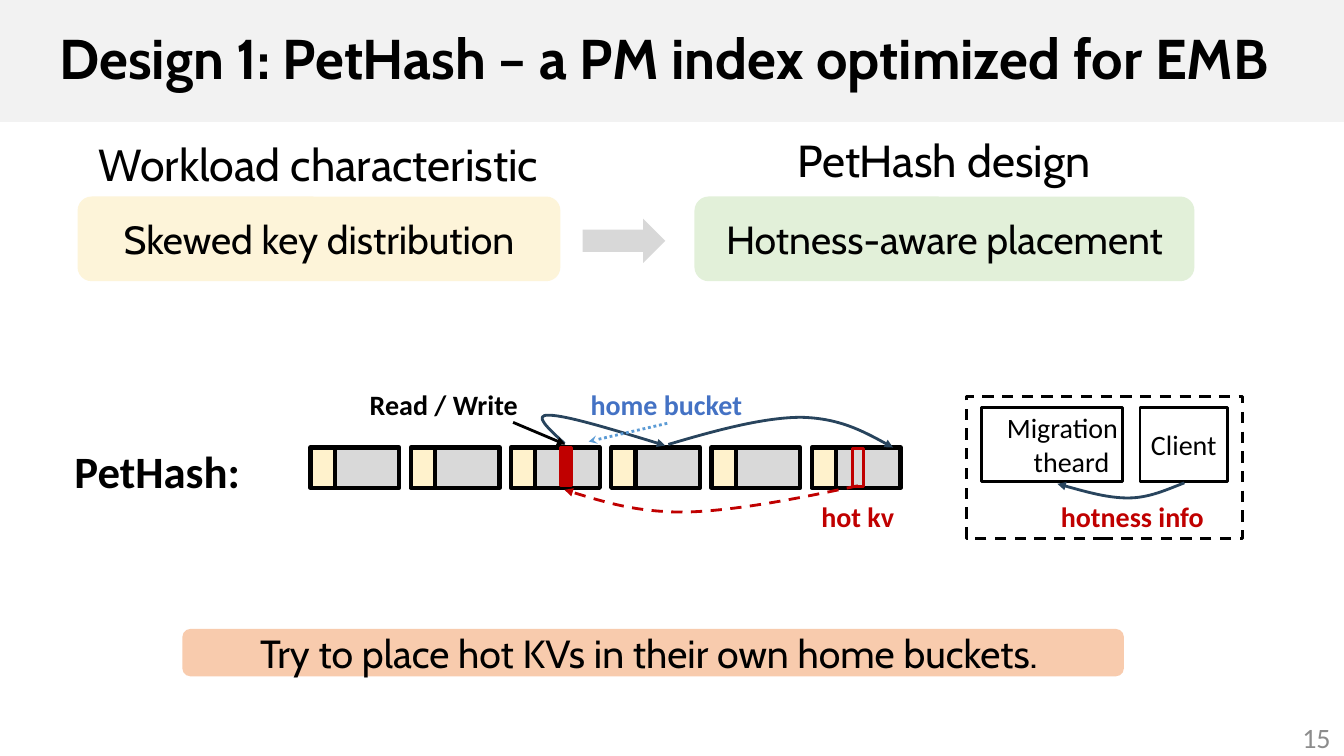
from pptx import Presentation
from pptx.dml.color import RGBColor
from pptx.enum.dml import MSO_LINE_DASH_STYLE as Dash
from pptx.enum.shapes import MSO_CONNECTOR, MSO_SHAPE as Shape
from pptx.enum.text import MSO_ANCHOR as Anchor, PP_ALIGN as Align
from pptx.oxml.ns import qn
from pptx.util import Pt
from lxml.etree import SubElement

BLACK, RED, NAVY = "000000", "C00000", "28445D"
TITLE = "Design 1: PetHash – a PM index optimized for EMB"
HEADINGS = [
    ("Workload characteristic", (53.3, 94.3, 348.5, 46)),
    ("PetHash design", (522.7, 91.4, 303.1, 46)),
]
PANELS = [
    ("Skewed key distribution", "FDF4D9", (55.4, 140.4, 344.9, 60.5)),
    ("Hotness-aware placement", "E2F0D9", (496.1, 140.4, 357.1, 60.5)),
    ("Try to place hot KVs in their own home buckets. ", "F8CBAD", (130.3, 449.3, 672.5, 33.8)),
]
DESIGN_ARROW = (416.2, 156.2, 59, 31.7)
LABELS = [
    ("PetHash:", 32, BLACK, True, Align.LEFT, (46.1, 313.2, 133.9, 46)),
    ("hotness info", 20, RED, True, Align.CENTER, (750.2, 352.8, 117.4, 31.7)),
    ("hot kv", 20, RED, True, Align.LEFT, (579.6, 352.8, 67, 31.7)),
    ("Read / Write", 20, BLACK, True, Align.LEFT, (257, 272.9, 121, 31.7)),
    ("home bucket", 20, "4472C4", True, Align.LEFT, (414.7, 272.9, 123.8, 31.7)),
    ("15", 20, "8C8C8C", False, Align.RIGHT, (741.6, 512.6, 216, 28.8)),
]
BUCKET_COUNT, BUCKET_LEFT, BUCKET_PITCH = 6, 221.8, 71.6
BUCKET_TOP, BUCKET_HEIGHT = 319.7, 28.8
BUCKET_PARTS = [(0, 17.4, "FFF2CC"), (17.4, 46.1, "D9D9D9")]
HOT_SLOTS = [(609.1, 320.4, None), (400.3, 319.7, RED)]
THREAD_FRAME = (690.5, 283, 197.3, 101.5)
THREADS = [
    ("Migration\ntheard", (701.3, 290.9, 100.8, 53.3), (14.4, 0)),
    ("Client", (814.3, 290.9, 62.6, 53.3), (7.2, 7.2)),
]
SECOND_LINE_INDENT = 13
CURVES = [
    (NAVY, None, [(846, 344.9), (833, 349.9), (820.8, 355.7), (805.7, 355.7),
                  (791.3, 355.7), (773.3, 350.6), (755.3, 345.6)]),
    (RED, Dash.DASH, [(612.7, 347), (568.8, 356.4), (524.2, 365), (488.9, 365.8),
                      (454.3, 365.8), (429.1, 357.8), (403.2, 349.9)]),
    (NAVY, None, [(403.2, 316.8), (391.7, 306), (380.2, 295.9), (392.4, 296.6),
                  (403.9, 296.6), (439.9, 307.4), (475.2, 318.2)]),
    (NAVY, None, [(477.4, 317.5), (511.2, 307.4), (545.8, 298.1), (572.4, 298.1),
                  (599, 298.8), (618.5, 308.9), (637.9, 319.7)]),
]
POINTERS = [
    (BLACK, None, "triangle", (366.5, 301.7, 403.9, 317.5)),
    ("5B9BD5", Dash.ROUND_DOT, "stealth", (476.6, 302.4, 420.5, 315.4)),
]


def paint(color_format, color):
    color_format.rgb = RGBColor.from_string(color)


def pts(values):
    return [Pt(value) for value in values]


def fill_with(shape, color):
    if color:
        shape.fill.solid()
        paint(shape.fill.fore_color, color)
    else:
        shape.fill.background()


def stroke(shape, color, width=2, dash=None, head=None):
    paint(shape.line.color, color)
    shape.line.width = Pt(width)
    if dash:
        shape.line.dash_style = dash
    if head:
        SubElement(shape.line._get_or_add_ln(), qn("a:tailEnd"), type=head)


def write(shape, text, size, font, color=BLACK, bold=False, align=Align.CENTER,
          anchor=Anchor.MIDDLE, wrap=True, sides=(7.2, 7.2), ends=3.6):
    frame = shape.text_frame
    frame.text = text
    frame.word_wrap = wrap
    frame.vertical_anchor = anchor
    frame.margin_left, frame.margin_right = pts(sides)
    frame.margin_top = frame.margin_bottom = Pt(ends)
    for paragraph in frame.paragraphs:
        paragraph.alignment = align
        paragraph.font.size = Pt(size)
        paragraph.font.name = font
        paragraph.font.bold = bold
        paint(paragraph.font.color, color)
    return frame


def add_block(shapes, kind, box, fill=None, line=None, width=2, dash=None):
    block = shapes.add_shape(kind, *pts(box))
    block.shadow.inherit = False
    fill_with(block, fill)
    if line:
        stroke(block, line, width, dash)
    else:
        block.line.fill.background()
    return block


def add_curve(shapes, color, dash, points):
    start, *rest = [tuple(pts(point)) for point in points]
    builder = shapes.build_freeform(*start)
    builder.add_line_segments(rest, close=False)
    curve = builder.convert_to_shape()
    curve.shadow.inherit = False
    outline = next(curve._element.iter(qn("a:path")))
    segments = outline.findall(qn("a:lnTo"))
    for first in range(0, len(segments), 3):
        bezier = SubElement(outline, qn("a:cubicBezTo"))
        for segment in segments[first:first + 3]:
            bezier.append(segment[0])
            outline.remove(segment)
    fill_with(curve, None)
    stroke(curve, color, 2, dash, "triangle")


def main():
    deck = Presentation()
    deck.slide_width, deck.slide_height = Pt(960), Pt(540)
    slide = deck.slides.add_slide(deck.slide_layouts[5])
    shapes = slide.shapes

    title = shapes.title
    title.left, title.top, title.width, title.height = pts((0, 0, 960, 87.1))
    fill_with(title, "F2F2F2")
    heading = write(title, TITLE, 40, "Cabin", bold=True, align=Align.LEFT,
                    sides=(42.5, 7.2), ends=0)
    heading.paragraphs[0].line_spacing = 0.9

    for index in range(BUCKET_COUNT):
        for offset, width, color in BUCKET_PARTS:
            left = BUCKET_LEFT + index * BUCKET_PITCH + offset
            add_block(shapes, Shape.RECTANGLE, (left, BUCKET_TOP, width, BUCKET_HEIGHT),
                      color, BLACK, 3)

    add_block(shapes, Shape.RECTANGLE, THREAD_FRAME, None, BLACK, dash=Dash.DASH)
    for name, box, sides in THREADS:
        thread = add_block(shapes, Shape.RECTANGLE, box, "FFFFFF", BLACK)
        frame = write(thread, name, 20, "Calibri", sides=sides)
        for paragraph in frame.paragraphs[1:]:
            paragraph._p.get_or_add_pPr().set("marL", str(int(Pt(SECOND_LINE_INDENT))))

    for left, top, color in HOT_SLOTS:
        add_block(shapes, Shape.RECTANGLE, (left, top, 7.9, 27.4), color, RED)

    for text, size, color, bold, align, box in LABELS:
        write(shapes.add_textbox(*pts(box)), text, size, "Calibri", color, bold, align,
              wrap=not bold)

    for color, dash, points in CURVES:
        add_curve(shapes, color, dash, points)
    for color, dash, head, ends in POINTERS:
        pointer = shapes.add_connector(MSO_CONNECTOR.STRAIGHT, *pts(ends))
        stroke(pointer, color, 2, dash, head)
        SubElement(pointer._element.spPr, qn("a:effectLst"))

    for text, color, box in PANELS:
        panel = add_block(shapes, Shape.ROUNDED_RECTANGLE, box, color)
        write(panel, text, 28, "Cabin", ends=2.9)
    add_block(shapes, Shape.RIGHT_ARROW, DESIGN_ARROW, "D8D8D8")
    for text, box in HEADINGS:
        write(shapes.add_textbox(*pts(box)), text, 32, "Cabin", anchor=Anchor.TOP)

    deck.save("out.pptx")


if __name__ == "__main__":
    main()
